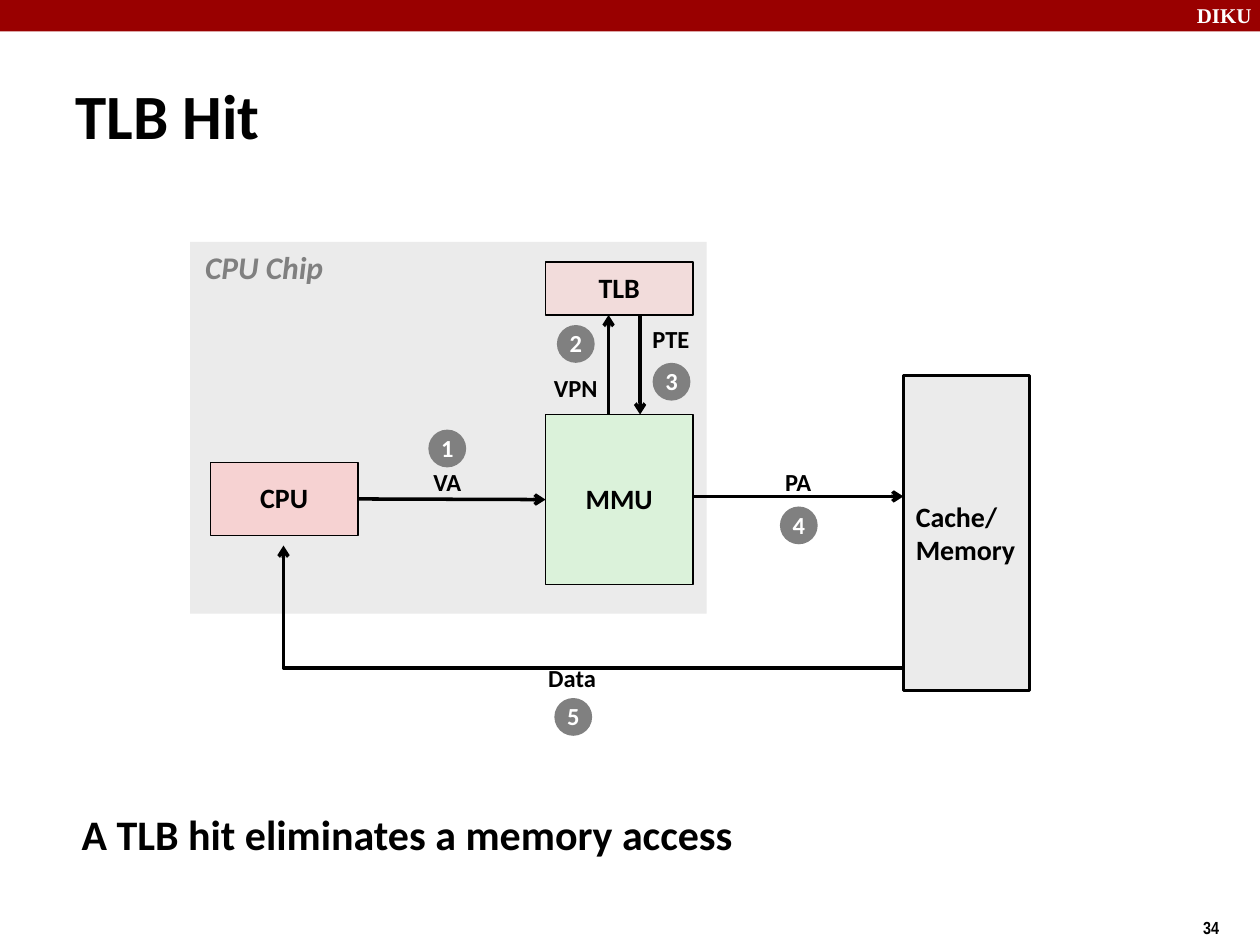
from dataclasses import dataclass
from typing import Optional

from lxml import etree
from pptx import Presentation
from pptx import util as u
from pptx.dml.color import RGBColor
from pptx.enum import shapes, text
from pptx.oxml import ns

BLACK = RGBColor(0x00, 0x00, 0x00)
WHITE = RGBColor(0xFF, 0xFF, 0xFF)
GRAY = RGBColor(0x80, 0x80, 0x80)
LIGHT_GRAY = RGBColor(0xEB, 0xEB, 0xEB)
DARK_RED = RGBColor(0x99, 0x00, 0x00)
GREEN = RGBColor(0xDB, 0xF2, 0xDA)
PINK = RGBColor(0xF6, 0xD2, 0xD2)
PALE_PINK = RGBColor(0xF2, 0xDC, 0xDB)

LEFT, CENTER = text.PP_ALIGN.LEFT, text.PP_ALIGN.CENTER
TOP, MIDDLE = text.MSO_ANCHOR.TOP, text.MSO_ANCHOR.MIDDLE
RECTANGLE = shapes.MSO_SHAPE.RECTANGLE
OVAL = shapes.MSO_SHAPE.OVAL
STEP_SIZE = 0.3


@dataclass(frozen=True)
class Area:
    left: float
    top: float
    width: float
    height: float

    def lengths(self) -> tuple:
        return tuple(u.Inches(v) for v in (self.left, self.top, self.width, self.height))


@dataclass(frozen=True)
class Style:
    size: float
    color: RGBColor = BLACK
    font: str = "Calibri"
    italic: bool = False
    align: text.PP_ALIGN = LEFT
    anchor: text.MSO_ANCHOR = TOP
    wrap: bool = False
    spacing: Optional[float] = None


@dataclass(frozen=True)
class Block:
    label: str
    area: Area
    fill: RGBColor
    line_width: float = 1
    align: text.PP_ALIGN = CENTER
    spacing: Optional[float] = 0.98


@dataclass(frozen=True)
class Label:
    label: str
    area: Area
    style: Style


@dataclass(frozen=True)
class Step:
    number: int
    left: float
    top: float


SIGNAL = Style(14, align=CENTER, anchor=MIDDLE, spacing=0.98)
STEP = Style(14, WHITE, align=CENTER, anchor=MIDDLE, spacing=0.98)

BLOCKS = [
    Block("MMU", Area(4.33, 3.29, 1.17, 1.35), GREEN),
    Block("Cache/\nMemory", Area(7.17, 2.98, 1, 2.5), LIGHT_GRAY, 1.5, LEFT, None),
    Block("CPU", Area(1.67, 3.67, 1.17, 0.58), PINK),
    Block("TLB", Area(4.33, 2.08, 1.17, 0.42), PALE_PINK),
]
LABELS = [
    Label("DIKU", Area(9.4, -0.03, 0.67, 0.3), Style(12, WHITE, "Times New Roman", wrap=True)),
    Label("34", Area(9.45, 7.23, 0.75, 0.29), Style(10, font="Arial Narrow")),
    Label("CPU Chip", Area(1.53, 1.92, 1.14, 0.4), Style(18, GRAY, italic=True)),
    Label("VA", Area(3.34, 3.67, 0.42, 0.33), SIGNAL),
    Label("PA", Area(6.13, 3.67, 0.41, 0.33), SIGNAL),
    Label("Data", Area(4.25, 5.22, 0.58, 0.33), SIGNAL),
    Label("VPN", Area(4.3, 2.92, 0.54, 0.33), SIGNAL),
    Label("PTE", Area(5.08, 2.53, 0.49, 0.33), SIGNAL),
    Label("A TLB hit eliminates a memory access", Area(0.55, 6.37, 7.86, 0.63), Style(24, wrap=True)),
]
STEPS = [
    Step(1, 3.4, 3.41),
    Step(2, 4.42, 2.58),
    Step(3, 5.18, 2.88),
    Step(4, 6.19, 4.02),
    Step(5, 4.4, 5.54),
]


def write(shape, content: str, style: Style) -> None:
    frame = shape.text_frame
    frame.text = content
    frame.word_wrap = style.wrap
    frame.auto_size = text.MSO_AUTO_SIZE.NONE
    frame.vertical_anchor = style.anchor
    for paragraph in frame.paragraphs:
        paragraph.alignment = style.align
        if style.spacing:
            paragraph.line_spacing = style.spacing
        font = paragraph.font
        font.name = style.font
        font.size = u.Pt(style.size)
        font.bold = True
        font.italic = style.italic
        font.color.rgb = style.color


def add_filled(slide, kind: shapes.MSO_SHAPE, area: Area, fill: RGBColor):
    shape = slide.shapes.add_shape(kind, *area.lengths())
    shape.shadow.inherit = False
    shape.fill.solid()
    shape.fill.fore_color.rgb = fill
    shape.line.fill.background()
    return shape


def add_block(slide, block: Block):
    shape = add_filled(slide, RECTANGLE, block.area, block.fill)
    shape.line.color.rgb = BLACK
    shape.line.width = u.Pt(block.line_width)
    write(shape, block.label, Style(16, align=block.align, anchor=MIDDLE, spacing=block.spacing))
    return shape


def add_label(slide, label: Label) -> None:
    write(slide.shapes.add_textbox(*label.area.lengths()), label.label, label.style)


def add_step(slide, step: Step) -> None:
    area = Area(step.left, step.top, STEP_SIZE, STEP_SIZE)
    write(add_filled(slide, OVAL, area, GRAY), str(step.number), STEP)


def add_arrow(slide, start: tuple, end: tuple, kind=shapes.MSO_CONNECTOR.STRAIGHT):
    points = [u.Inches(value) for value in start + end]
    connector = slide.shapes.add_connector(kind, *points)
    connector.line.color.rgb = BLACK
    connector.line.width = u.Pt(2)
    properties = connector._element.spPr
    line = properties.find(ns.qn("a:ln"))
    etree.SubElement(line, ns.qn("a:tailEnd"), type="arrow")
    etree.SubElement(properties, ns.qn("a:effectLst"))
    return connector


def add_corner_arrow(slide, start: tuple, end: tuple) -> None:
    connector = add_arrow(slide, end, start, shapes.MSO_CONNECTOR.ELBOW)
    properties = connector._element.spPr
    properties.find(ns.qn("a:prstGeom")).set("prst", "bentConnector2")
    properties.find(ns.qn("a:xfrm")).set("rot", str(180 * 60000))


def main() -> None:
    presentation = Presentation()
    presentation.slide_width = u.Inches(10)
    presentation.slide_height = u.Inches(7.5)
    slide = presentation.slides.add_slide(presentation.slide_layouts[5])

    title = slide.shapes.title
    title.left, title.top, title.width, title.height = Area(0.5, 0.48, 9.53, 0.86).lengths()
    write(title, "TLB Hit", Style(36, anchor=MIDDLE, wrap=True))

    add_filled(slide, RECTANGLE, Area(0, 0, 10, 0.25), DARK_RED)
    add_filled(slide, RECTANGLE, Area(1.51, 1.92, 4.1, 2.95), LIGHT_GRAY)
    blocks = {block.label: add_block(slide, block) for block in BLOCKS}

    address = add_arrow(slide, (2.84, 3.96), (4.33, 3.96))
    address.begin_connect(blocks["CPU"], 3)
    address.end_connect(blocks["MMU"], 1)
    add_arrow(slide, (5.5, 3.94), (7.17, 3.94))
    add_arrow(slide, (4.83, 3.29), (4.83, 2.5))
    add_arrow(slide, (5.08, 2.5), (5.08, 3.29))
    add_corner_arrow(slide, (7.17, 5.3), (2.25, 4.33))

    for label in LABELS:
        add_label(slide, label)
    for step in STEPS:
        add_step(slide, step)

    presentation.save("out.pptx")


if __name__ == "__main__":
    main()
